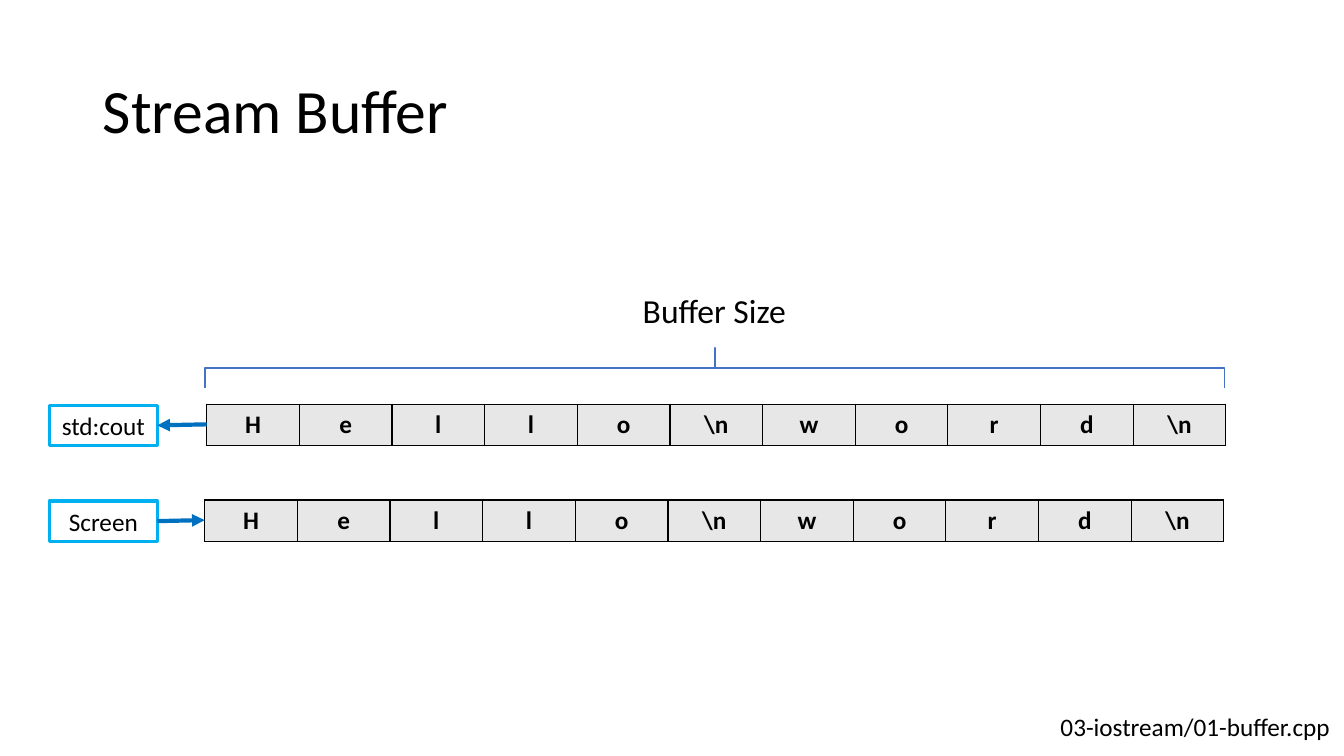
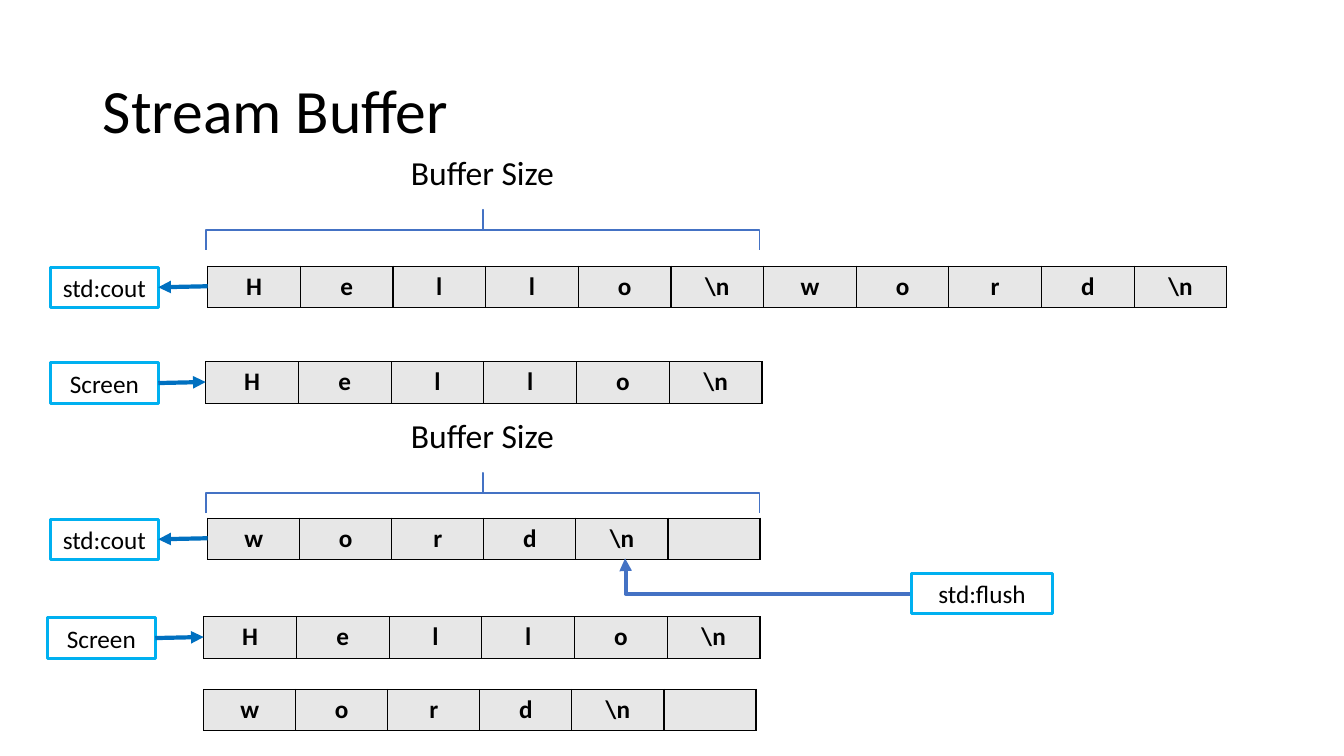
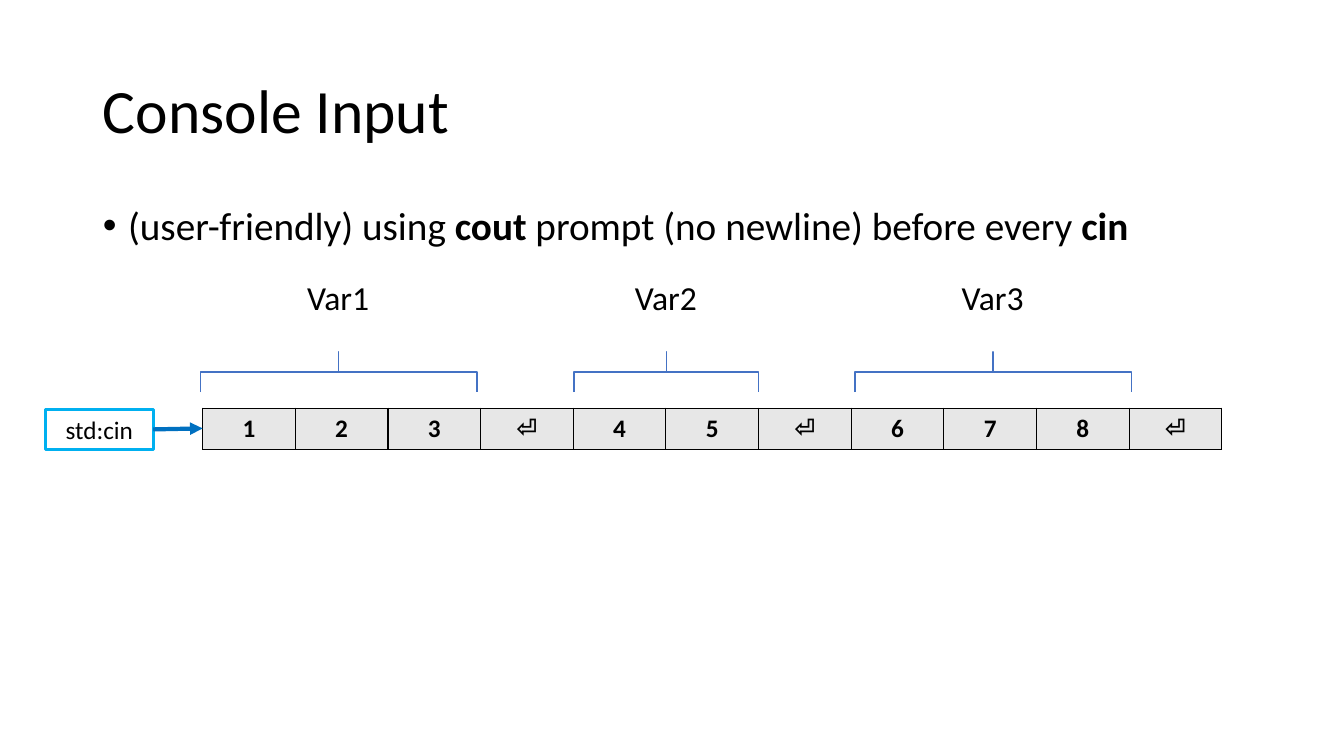
from pptx import Presentation
from pptx.dml.color import RGBColor
from pptx.enum.shapes import MSO_CONNECTOR, MSO_SHAPE
from pptx.enum.text import MSO_ANCHOR, MSO_AUTO_SIZE, PP_ALIGN
from pptx.oxml.ns import qn
from pptx.util import Inches, Pt
from lxml.etree import SubElement

FONT = "Calibri"
BLACK, CELL_FILL = "000000", "E7E7E7"
BOX_LINE, ARROW_LINE, BRACE_LINE = "00B0F0", "0070C0", "4472C4"
TITLE_ONLY, TITLE_AND_BODY = 5, 1
BOX_WIDTH, ROW_HEIGHT, BRACE_HEIGHT = 1.07, 0.41, 0.4
FULL_WIDTH = 10.11
HELLO = ["H", "e", "l", "l", "o", "\\n"]
WORD = ["w", "o", "r", "d", "\\n"]
ENTER = "\u23ce"


def rgb(value):
    """Turn a hex string into a colour."""
    return RGBColor.from_string(value)


def place(sp, left, top, width, height):
    """Put a shape at a position given in inches."""
    sp.left, sp.top = Inches(left), Inches(top)
    sp.width, sp.height = Inches(width), Inches(height)


def style(p, size, align=PP_ALIGN.LEFT, bold=False):
    """Format a whole paragraph."""
    p.alignment = align
    p.font.name, p.font.size, p.font.bold = FONT, Pt(size), bold
    p.font.color.rgb = rgb(BLACK)


def set_line(sp, color, width):
    """Set the line colour and width of a shape or connector."""
    sp.line.color.rgb = rgb(color)
    sp.line.width = Pt(width)


def add_slide(prs, title, layout=TITLE_ONLY):
    """Add a slide with the shared title style."""
    slide = prs.slides.add_slide(prs.slide_layouts[layout])
    sp = slide.shapes.title
    place(sp, 0.92, 0.4, 11.5, 1.45)
    tf = sp.text_frame
    tf.text = title
    tf.vertical_anchor = MSO_ANCHOR.MIDDLE
    tf.auto_size = MSO_AUTO_SIZE.NONE
    p = tf.paragraphs[0]
    p.line_spacing = 0.9
    style(p, 44)
    return slide


def add_bullet(slide, parts):
    """Fill the body with one bullet of (text, bold) parts."""
    sp = slide.placeholders[1]
    place(sp, 0.92, 2, 11.5, 4.76)
    sp.text_frame.auto_size = MSO_AUTO_SIZE.NONE
    p = sp.text_frame.paragraphs[0]
    style(p, 28)
    p.line_spacing, p.space_before = 0.9, Pt(10)
    pPr = p._p.get_or_add_pPr()
    pPr.set("marL", str(Inches(0.25)))
    pPr.set("indent", str(Inches(-0.25)))
    for text, bold in parts:
        r = p.add_run()
        r.text, r.font.bold = text, bold


def add_text(slide, text, left, top, width, height, size, align=PP_ALIGN.CENTER):
    """Add a line of plain text."""
    sp = slide.shapes.add_textbox(0, 0, 0, 0)
    place(sp, left, top, width, height)
    tf = sp.text_frame
    tf.word_wrap = True
    tf.text = text
    style(tf.paragraphs[0], size, align)


def add_box(slide, text, left, top, width=BOX_WIDTH):
    """Add an outlined name box."""
    sp = slide.shapes.add_shape(MSO_SHAPE.RECTANGLE, 0, 0, 0, 0)
    place(sp, left, top, width, 0.4)
    sp.shadow.inherit = False
    sp.fill.background()
    set_line(sp, BOX_LINE, 2.25)
    sp.text_frame.text = text
    style(sp.text_frame.paragraphs[0], 18, PP_ALIGN.CENTER)


def add_arrow(slide, start, end, color=ARROW_LINE, kind=MSO_CONNECTOR.STRAIGHT):
    """Add a connector with an arrowhead at its end."""
    cxn = slide.shapes.add_connector(kind, *(Inches(v) for v in start + end))
    set_line(cxn, color, 3)
    SubElement(cxn.line._get_or_add_ln(), qn("a:tailEnd"), type="triangle")
    SubElement(cxn._element.spPr, qn("a:effectLst"))
    return cxn


def add_border(cell):
    """Draw a thin black line on each side of a cell."""
    tcPr = cell._tc.get_or_add_tcPr()
    for side in ("lnL", "lnR", "lnT", "lnB"):
        ln = SubElement(tcPr, qn(f"a:{side}"), w=str(Pt(1)))
        fill = SubElement(ln, qn("a:solidFill"))
        SubElement(fill, qn("a:srgbClr"), val=BLACK)


def add_cells(slide, chars, left, top, width):
    """Add a one-row table with a character in each cell."""
    table = slide.shapes.add_table(
        1, len(chars), Inches(left), Inches(top), Inches(width), Inches(ROW_HEIGHT)
    ).table
    table.first_row = table.horz_banding = False
    for col, char in enumerate(chars):
        table.columns[col].width = Inches(width / len(chars))
        cell = table.cell(0, col)
        cell.text = char
        style(cell.text_frame.paragraphs[0], 18, PP_ALIGN.CENTER, True)
        add_border(cell)
        cell.fill.solid()
        cell.fill.fore_color.rgb = rgb(CELL_FILL)


def add_stream(slide, name, chars, box_left, left, top, width, outward=False):
    """Add a name box, a row of cells and the arrow between them."""
    add_cells(slide, chars, left, top, width)
    add_box(slide, name, box_left, top + 0.01)
    box_end, row_end = (box_left + BOX_WIDTH, top + 0.21), (left, top + 0.2)
    if outward:
        add_arrow(slide, row_end, box_end)
    else:
        add_arrow(slide, box_end, row_end)


def add_brace(slide, text, center, top, width, rise=0.62):
    """Add a square brace opening downwards, with a label above it."""
    sp = slide.shapes.add_shape(MSO_SHAPE.RIGHT_BRACE, 0, 0, 0, 0)
    place(sp, center - BRACE_HEIGHT / 2, top + (BRACE_HEIGHT - width) / 2,
          BRACE_HEIGHT, width)
    sp.rotation = 270
    sp.adjustments[0], sp.adjustments[1] = 0, 0.5
    sp.shadow.inherit = False
    sp.fill.background()
    set_line(sp, BRACE_LINE, 1)
    add_text(slide, text, center - 0.92, top - rise, 1.83, 0.5, 24)


def add_flush(slide):
    """Add the flush box and its bent arrow to the last character."""
    cxn = add_arrow(slide, (9.04, 5.89), (6.2, 5.54), BRACE_LINE, MSO_CONNECTOR.ELBOW)
    guides = cxn._element.spPr.find(qn("a:prstGeom")).get_or_add_avLst()
    SubElement(guides, qn("a:gd"), name="adj1", fmla="val 99800")
    add_box(slide, "std:flush", 9.04, 5.69, 1.4)


def build_large_buffer(prs):
    """Show a buffer that holds the whole text."""
    slide = add_slide(prs, "Stream Buffer")
    add_brace(slide, "Buffer Size", 7.09, 3.45, FULL_WIDTH)
    add_stream(slide, "std:cout", HELLO + WORD, 0.49, 2.05, 4.01, FULL_WIDTH, True)
    add_stream(slide, "Screen", HELLO + WORD, 0.49, 2.03, 4.96, FULL_WIDTH)
    add_text(slide, "03-iostream/01-buffer.cpp", 10.42, 7.01, 3.14, 0.4, 18,
             PP_ALIGN.LEFT)


def build_small_buffer(prs):
    """Show a buffer that needs a flush."""
    slide = add_slide(prs, "Stream Buffer")
    for top in (2.08, 4.69):
        add_brace(slide, "Buffer Size", 4.79, top, 5.49)
    rest = WORD + [""]
    add_stream(slide, "std:cout", HELLO + WORD, 0.5, 2.06, 2.64, FULL_WIDTH, True)
    add_stream(slide, "Screen", HELLO, 0.5, 2.04, 3.59, 5.52)
    add_stream(slide, "std:cout", rest, 0.5, 2.06, 5.14, 5.48, True)
    add_stream(slide, "Screen", HELLO, 0.47, 2.02, 6.12, 5.52)
    add_cells(slide, rest, 2.02, 6.84, 5.48)
    add_flush(slide)


def build_console_input(prs):
    """Show how typed characters map to variables."""
    slide = add_slide(prs, "Console Input", TITLE_AND_BODY)
    add_bullet(slide, [("(user-friendly) using ", False), ("cout", True),
                       (" prompt (no newline) before every ", False), ("cin", True)])
    chars = ["1", "2", "3", ENTER, "4", "5", ENTER, "6", "7", "8", ENTER]
    add_stream(slide, "std:cin", chars, 0.45, 2.01, 4.05, FULL_WIDTH)
    for name, center, width in (("Var1", 3.36, 2.74), ("Var2", 6.61, 1.83),
                                ("Var3", 9.85, 2.74)):
        add_brace(slide, name, center, 3.49, width, rise=0.79)


def main():
    """Build and save the presentation."""
    prs = Presentation()
    prs.slide_width, prs.slide_height = Inches(13.33), Inches(7.5)
    build_large_buffer(prs)
    build_small_buffer(prs)
    build_console_input(prs)
    prs.save("out.pptx")


main()
